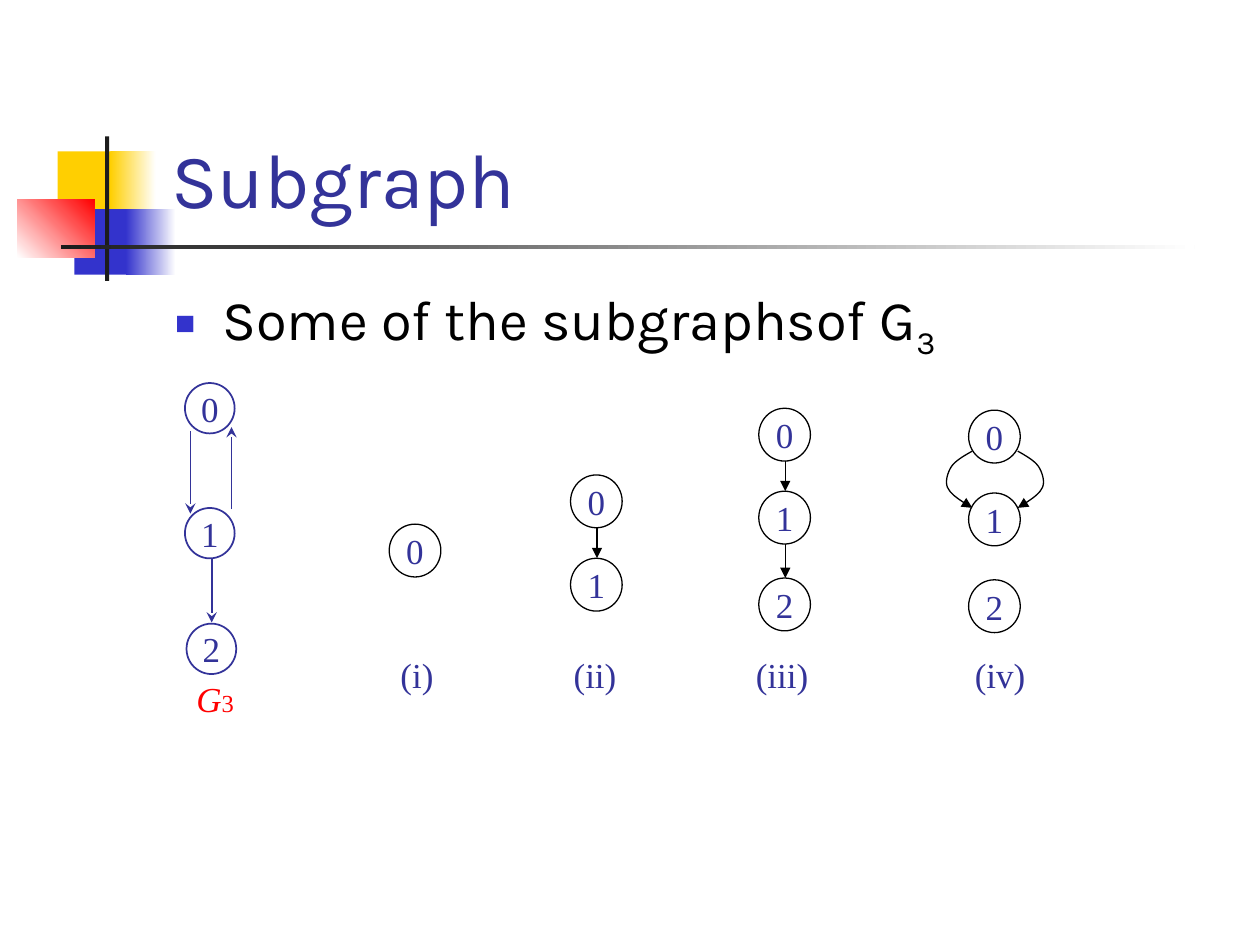
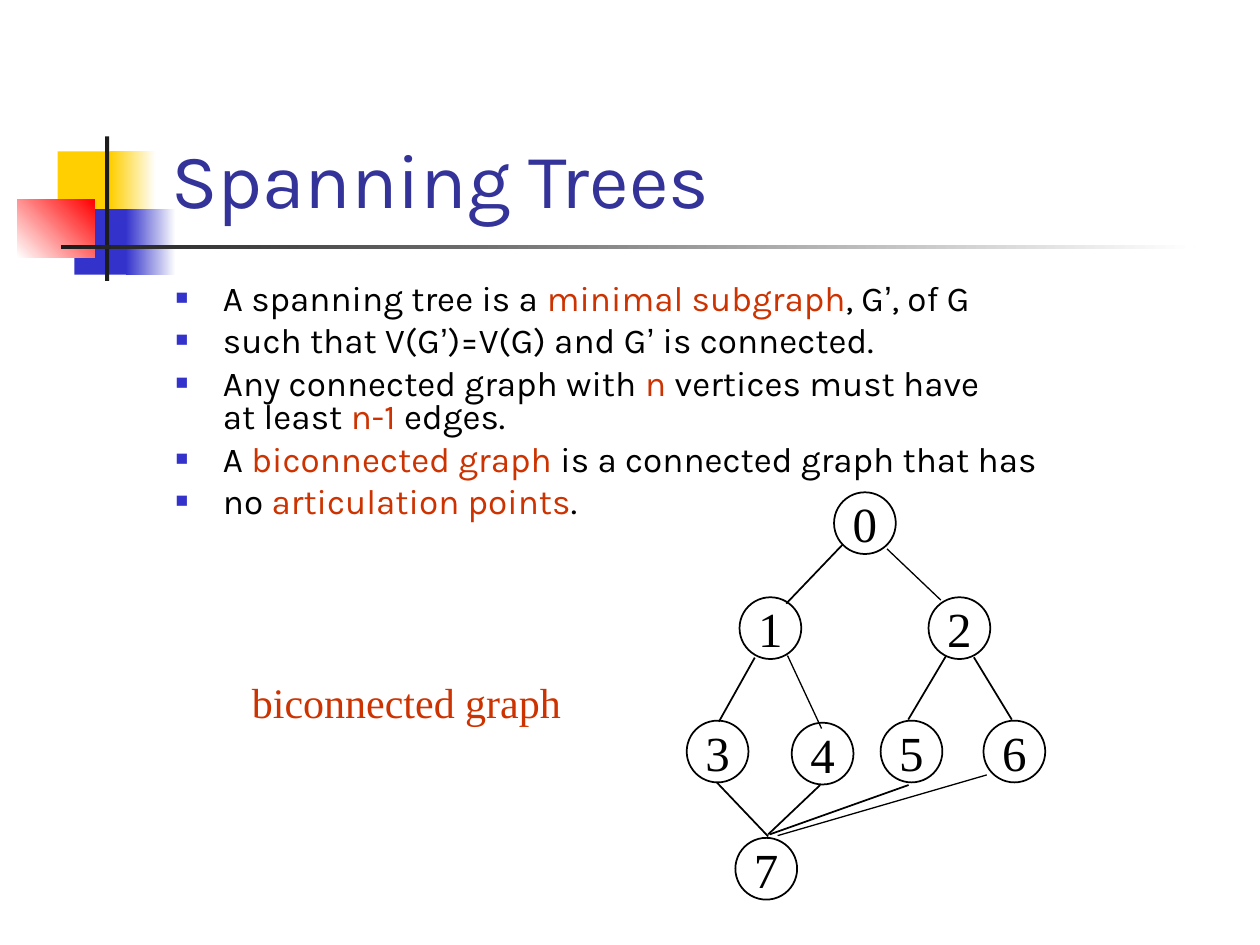
import itertools

import pptx
import pptx.dml.color
import pptx.enum.shapes
import pptx.enum.text
import pptx.oxml
import pptx.oxml.ns
import pptx.util

Pt = pptx.util.Pt
RGB = pptx.dml.color.RGBColor
KIND = pptx.enum.shapes.MSO_SHAPE
ANCHOR = pptx.enum.text.MSO_ANCHOR
ALIGN = pptx.enum.text.PP_ALIGN

WHITE = RGB(0xFF, 0xFF, 0xFF)
BLACK = RGB(0, 0, 0)
COAL = RGB(0x1C, 0x1C, 0x1C)
GOLD = RGB(0xFF, 0xCF, 0x01)
BLUE = RGB(0x33, 0x33, 0xCC)
NAVY = RGB(0x33, 0x33, 0x99)
RED = RGB(0xFF, 0, 0)
RUST = RGB(0xCC, 0x33, 0)

SANS, SERIF, MARK = "Karla", "Times New Roman", "Arial"


def add_xml(parent, tag, inner="", **attrs):
    """Append one drawing element to the parent."""
    pairs = "".join(f' {key}="{val}"' for key, val in attrs.items())
    space = pptx.oxml.ns.nsdecls("a")
    parent.append(pptx.oxml.parse_xml(f"<a:{tag} {space}{pairs}>{inner}</a:{tag}>"))


def bezier(a, b, c, d, steps=10):
    """Return the points after the start of a cubic curve."""
    points = []
    for step in range(1, steps + 1):
        t = step / steps
        u = 1 - t
        points.append(tuple(
            u**3 * p + 3 * u * u * t * q + 3 * u * t * t * r + t**3 * s
            for p, q, r, s in zip(a, b, c, d)))
    return points


class Deck:
    """Hold the shared style and the current slide."""

    def __init__(self):
        """Start an empty deck."""
        self.show = pptx.Presentation()
        self.show.slide_width = Pt(720)
        self.show.slide_height = Pt(540)

    def start(self, title):
        """Add a slide with its marks and title."""
        self.slide = self.show.slides.add_slide(self.show.slide_layouts[6])
        self.shapes = self.slide.shapes
        self.band(33, 86.5, 34.5, 37.5, GOLD)
        self.band(63, 86.5, 26, 37.5, GOLD, WHITE)
        self.band(42.5, 119.5, 33, 37.5, BLUE)
        self.band(72, 119.5, 28.5, 37.5, BLUE, WHITE)
        self.band(10, 113.75, 44, 33.5, WHITE, RED, 45)
        self.band(60, 78, 2.4, 82.5, COAL)
        self.band(34.75, 140, 648, 2.5, COAL, WHITE)
        frame = self.box(90.75, 16.5, 613.5, 115.25, ANCHOR.BOTTOM)
        self.put(frame.paragraphs[0], title, 44, SANS, NAVY)

    def band(self, x, y, w, h, first, last=None, angle=0):
        """Draw a plain or fading bar."""
        bar = self.shapes.add_shape(KIND.RECTANGLE, Pt(x), Pt(y), Pt(w), Pt(h))
        bar.shadow.inherit = False
        bar.line.fill.background()
        if last is None:
            bar.fill.solid()
            bar.fill.fore_color.rgb = first
            return
        bar.fill.gradient()
        bar.fill.gradient_angle = angle
        for stop, colour in zip(bar.fill.gradient_stops, (first, last)):
            stop.color.rgb = colour

    def box(self, x, y, w, h, anchor=ANCHOR.TOP, wrap=True):
        """Add a text box and return its frame."""
        frame = self.shapes.add_textbox(Pt(x), Pt(y), Pt(w), Pt(h)).text_frame
        frame.word_wrap = wrap
        frame.vertical_anchor = anchor
        return frame

    def put(self, para, text, size, font, colour, accent=None):
        """Fill a paragraph, with accents between asterisks."""
        para.font.size = Pt(size)
        for part, chunk in enumerate(text.split("*")):
            tint = accent if part % 2 and accent else colour
            groups = itertools.groupby(chunk, lambda c: c if c in "’\n" else "")
            for mark, chars in groups:
                if mark == "\n":
                    para.add_line_break()
                    continue
                run = para.add_run()
                run.text = "".join(chars)
                run.font.size = Pt(size)
                run.font.name = MARK if mark else font
                run.font.color.rgb = tint
        return para.runs

    def label(self, x, y, w, h, text, size, colour):
        """Add a centred serif label."""
        para = self.box(x, y, w, h, ANCHOR.MIDDLE, False).paragraphs[0]
        para.alignment = ALIGN.CENTER
        self.put(para, text, size, SERIF, colour)

    def bullets(self, x, y, w, h, lines, size, gap, pitch=None):
        """Add a list with square bullets."""
        frame = self.box(x, y, w, h)
        for index, line in enumerate(lines):
            para = frame.add_paragraph() if index else frame.paragraphs[0]
            if index:
                para.space_before = Pt(gap)
            if pitch:
                para.line_spacing = pitch
            props = para._p.get_or_add_pPr()
            props.set("marL", str(Pt(27)))
            props.set("indent", str(Pt(-27)))
            add_xml(props, "buClr", f'<a:srgbClr val="{BLUE}"/>')
            add_xml(props, "buSzPct", val=60000)
            add_xml(props, "buFont", typeface=MARK)
            add_xml(props, "buChar", char="■")
            runs = self.put(para, line, size, SANS, BLACK, RUST)
        return runs

    def node(self, x, y, w, h, text, size, ink, edge, weight, fill=None):
        """Draw a round vertex."""
        disc = self.shapes.add_shape(KIND.OVAL, Pt(x), Pt(y), Pt(w), Pt(h))
        disc.shadow.inherit = False
        if fill is None:
            disc.fill.background()
        else:
            disc.fill.solid()
            disc.fill.fore_color.rgb = fill
        disc.line.color.rgb = edge
        disc.line.width = Pt(weight)
        frame = disc.text_frame
        frame.word_wrap = False
        frame.vertical_anchor = ANCHOR.MIDDLE
        para = frame.paragraphs[0]
        para.alignment = ALIGN.CENTER
        self.put(para, text, size, SERIF, ink)

    def edge(self, x1, y1, x2, y2, colour=BLACK, weight=1, head=None):
        """Draw a straight edge."""
        line = self.shapes.add_connector(
            pptx.enum.shapes.MSO_CONNECTOR.STRAIGHT, Pt(x1), Pt(y1), Pt(x2), Pt(y2))
        line.line.color.rgb = colour
        line.line.width = Pt(weight)
        if head:
            add_xml(line.line._get_or_add_ln(), "tailEnd", type=head)
        add_xml(line._element.spPr, "effectLst")

    def curve(self, points):
        """Draw a bent arrow through cubic control points."""
        track = []
        for k in range(0, len(points) - 1, 3):
            track += bezier(*points[k:k + 4])
        pen = self.shapes.build_freeform(*(Pt(v) for v in points[0]))
        pen.add_line_segments([(Pt(x), Pt(y)) for x, y in track], close=False)
        arc = pen.convert_to_shape()
        arc.shadow.inherit = False
        arc.fill.background()
        arc.line.color.rgb = BLACK
        arc.line.width = Pt(0.75)
        add_xml(arc.line._get_or_add_ln(), "tailEnd", type="triangle")

    def chain(self, x, tops, linked):
        """Draw a column of vertices, joined downwards if linked."""
        w, h = 29.5, 30.2
        for index, top in enumerate(tops):
            self.node(x, top, w, h, str(index), 20, NAVY, BLACK, 0.75)
        if linked:
            for top, below in zip(tops, tops[1:]):
                self.edge(x + w / 2 + 0.4, top + h, x + w / 2 + 0.4, below,
                          BLACK, 0.75, "triangle")


def draw_sub(deck):
    """Build the subgraph slide."""
    deck.start("Subgraph")
    runs = deck.bullets(93, 159, 612, 324, ["Some of the subgraphsof G*3*"], 32, 8)
    runs[-1].font.color.rgb = BLACK
    runs[-1]._r.get_or_add_rPr().set("baseline", "-25000")

    chains = [
        (222.4, [299.5], False, "(i)", 238.3),
        (326, [271.4, 319], True, "(ii)", 340),
        (433.6, [233.3, 280.7, 330.3], True, "(iii)", 446.9),
        (553.5, [234.4, 281.7, 331.3], False, "(iv)", 571.5),
    ]
    for x, tops, linked, name, mid in chains:
        deck.chain(x, tops, linked)
        deck.label(mid - 30, 369.4, 60, 31.7, name, 20, NAVY)

    bend = [(13, 257.8), (18, 260.6), (23, 263.5), (25.2, 267.1), (27.4, 270.7),
            (28.8, 276.5), (26.6, 279.4), (24.5, 283.7), (15.1, 288.7), (13, 290.2)]
    for side in (-1, 1):
        deck.curve([(568.6 + side * x, y) for x, y in bend])

    spots = [(105.7, 218.9), (105.7, 290.3), (106.6, 356.4)]
    for index, (x, y) in enumerate(spots):
        deck.node(x, y, 28.4, 28.8, str(index), 20, NAVY, NAVY, 1, WHITE)
    for x, y, end in [(121, 319.7, 355.7), (132.3, 290.9, 244.1), (108.8, 246.2, 293.5)]:
        deck.edge(x, y, x, end, NAVY, 1, "stealth")

    frame = deck.box(105.1, 383.8, 36, 31, wrap=False)
    name, digit = deck.put(frame.paragraphs[0], "G*3", 20, SERIF, RED)
    name.font.italic = True
    digit.font.size = Pt(14)


def draw_span(deck):
    """Build the spanning tree slide."""
    deck.start("Spanning Trees")
    deck.bullets(93.3, 159, 611.3, 162, [
        "A spanning tree is a *minimal subgraph*, G’, of G",
        "such that V(G’)=V(G) and G’ is connected.",
        "Any connected graph with *n* vertices must have \nat least *n-1* edges.",
        "A *biconnected graph* is a connected graph that has",
        "no *articulation points*.",
    ], 20, 5, 0.8)

    spots = [(476.6, 281.3), (422.6, 341.3), (530.6, 341.3), (392.4, 411.8),
             (452.4, 413), (503.2, 411.8), (562, 411.8), (420.2, 478.8)]
    for index, (x, y) in enumerate(spots):
        deck.node(x, y, 35.3, 35.3, str(index), 28, BLACK, BLACK, 1, WHITE)

    bold = [(481.7, 311, 449.3, 344.9), (431.3, 375.8, 410.8, 412.4),
            (540.5, 375, 519, 411.2), (556.5, 375.6, 578.2, 411.2),
            (409.5, 447, 439, 478), (439, 476.8, 468.7, 448.6),
            (439.9, 476.8, 519.2, 448.6)]
    thin = [(506.9, 313.7, 537.6, 342.9), (450, 374.6, 469.5, 416.3),
            (444.4, 477.5, 563.9, 442.8)]
    for weight, edges in ((1, bold), (0.75, thin)):
        for ends in edges:
            deck.edge(*ends, weight=weight)
    deck.label(136.8, 383.2, 191, 36, "biconnected graph", 24, RUST)


def main():
    """Build and save the deck."""
    deck = Deck()
    draw_sub(deck)
    draw_span(deck)
    deck.show.save("out.pptx")


if __name__ == "__main__":
    main()
